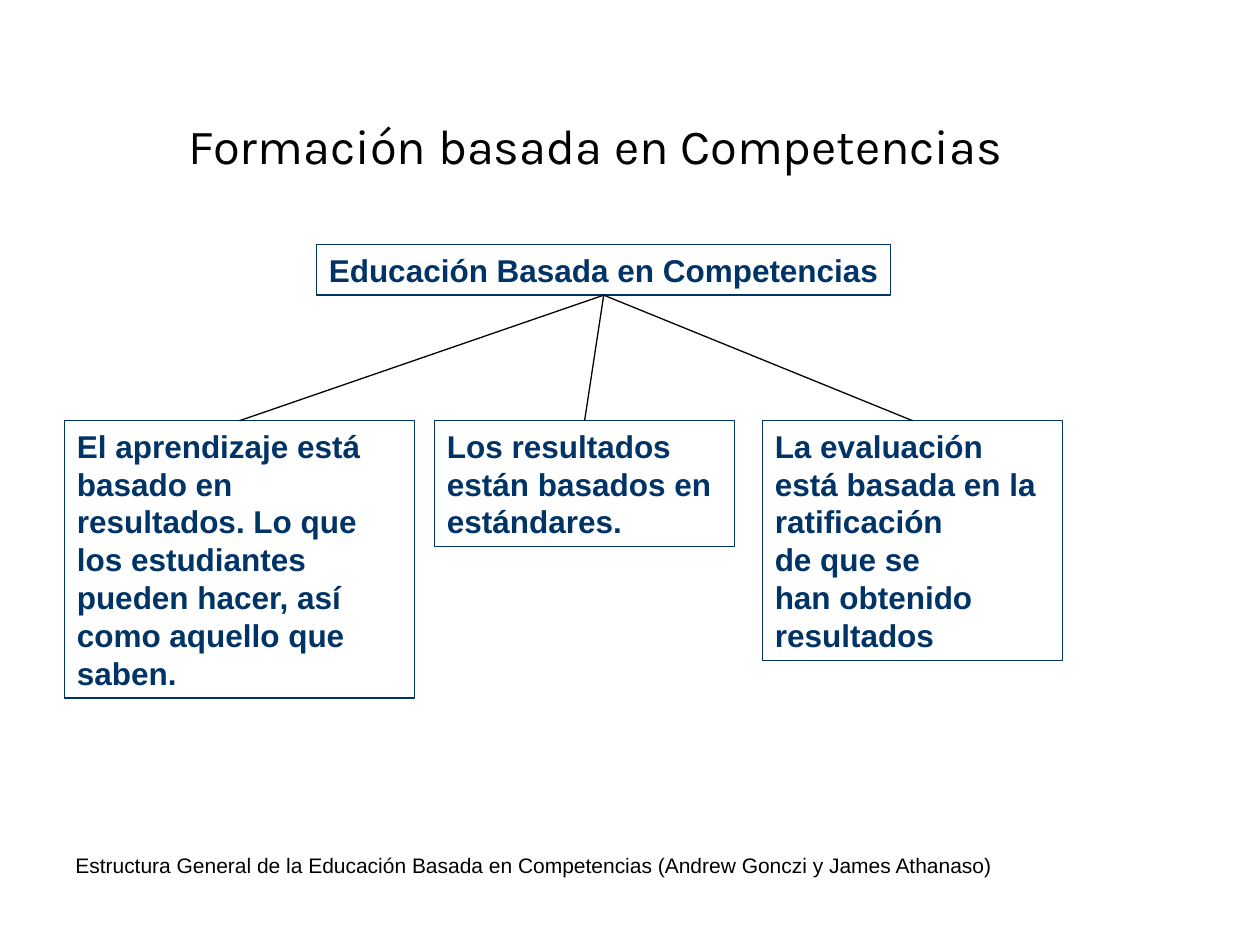
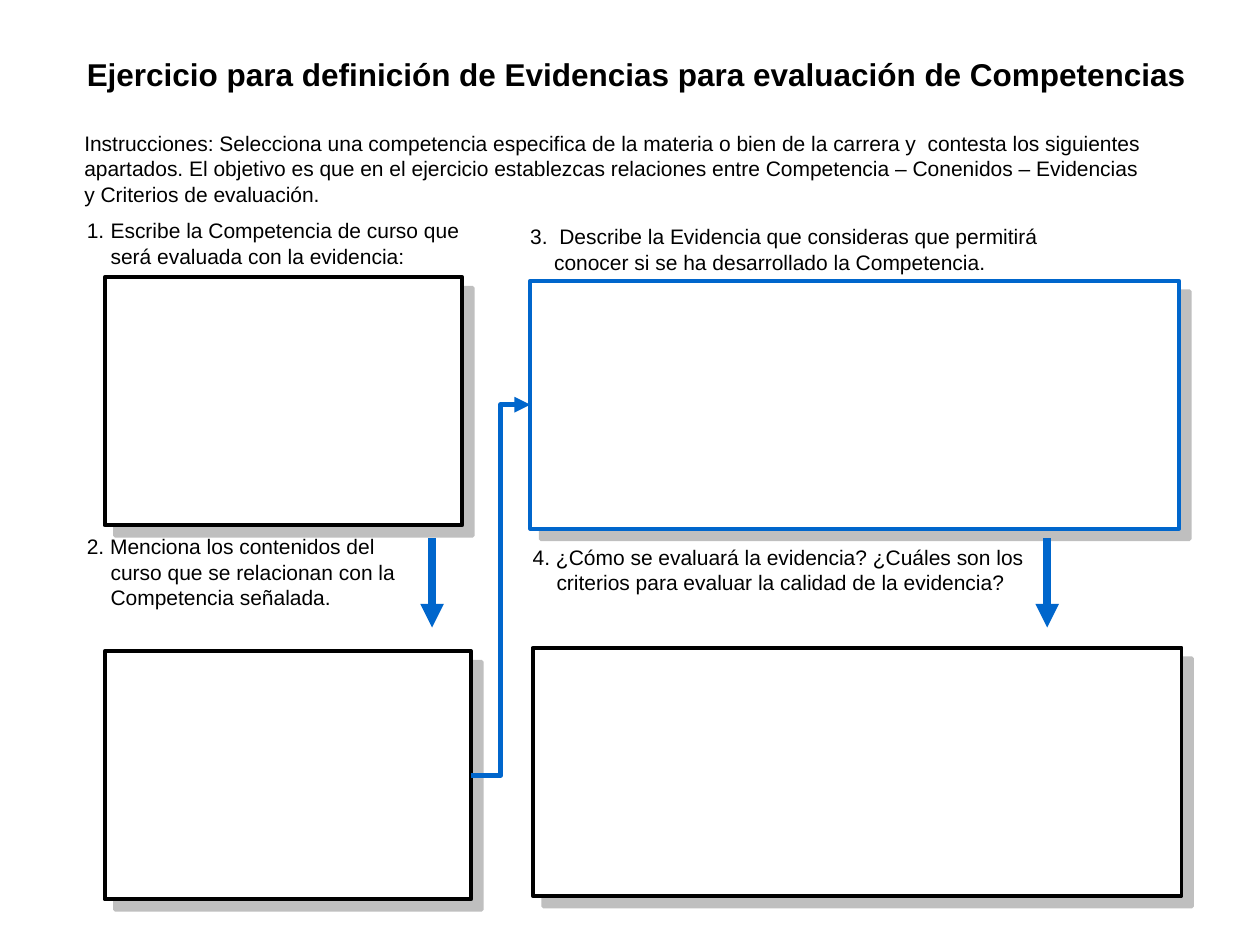
from lxml.etree import SubElement
from pptx import Presentation
from pptx.dml.color import RGBColor
from pptx.enum.shapes import MSO_CONNECTOR as Link, MSO_SHAPE as Preset
from pptx.enum.text import MSO_ANCHOR as Anchor, PP_ALIGN as Align
from pptx.oxml.ns import qn
from pptx.util import Cm, Pt

BLACK, WHITE, NAVY, BLUE, GREY = "000000", "FFFFFF", "003366", "0066CC", "808080"
HANG = Cm(0.48)
FRAME_HEIGHT = 5
BOTTOM, TOP, LEFT, RIGHT = 2, 0, 1, 3


def color(hex_code):
    """Turn a hex string into a colour."""
    return RGBColor.from_string(hex_code)


def write(shape, lines, size, ink=BLACK, bold=False, font="Arial", wrap=True, hang=False, numbered=False):
    """Fill a shape with left-aligned paragraphs in one style."""
    frame = shape.text_frame
    frame.word_wrap = wrap
    frame.text = "\n".join(lines)
    for paragraph in frame.paragraphs:
        paragraph.alignment = Align.LEFT
        if hang:
            properties = paragraph._p.get_or_add_pPr()
            properties.set("marL", str(HANG))
            properties.set("indent", str(-HANG))
            if numbered:
                SubElement(properties, qn("a:buFont"), typeface="Arial")
                SubElement(properties, qn("a:buAutoNum"), type="arabicPeriod")
        paragraph.font.name = font
        paragraph.font.size = Pt(size)
        paragraph.font.bold = bold
        paragraph.font.color.rgb = color(ink)
    return frame


def add_text(slide, left, top, width, height, line, size, **style):
    """Place a text box with one paragraph."""
    box = slide.shapes.add_textbox(Cm(left), Cm(top), Cm(width), Cm(height))
    return write(box, [line], size, **style)


def add_box(slide, left, top, width, height, ink, weight):
    """Place a white outlined rectangle."""
    box = slide.shapes.add_shape(Preset.RECTANGLE, Cm(left), Cm(top), Cm(width), Cm(height))
    box.shadow.inherit = False
    box.fill.solid()
    box.fill.fore_color.rgb = color(WHITE)
    box.line.color.rgb = color(ink)
    box.line.width = Pt(weight)
    return box


def add_line(slide, kind, ink, weight, start=(0, 0), end=(0, 0), ends=None, arrow=True):
    """Draw a connector between two points or two (shape, site) ends."""
    line = slide.shapes.add_connector(kind, *map(Cm, start + end))
    if ends:
        line.begin_connect(*ends[0])
        line.end_connect(*ends[1])
    line.line.color.rgb = color(ink)
    line.line.width = Pt(weight)
    properties = line._element.spPr
    if arrow:
        SubElement(properties.find(qn("a:ln")), qn("a:tailEnd"), type="triangle")
    SubElement(properties, qn("a:effectLst"))


def cast_shadow(shape):
    """Give a shape a hard half-transparent shadow to the lower right."""
    effects = shape._element.spPr.find(qn("a:effectLst"))
    shadow = SubElement(effects, qn("a:outerShdw"), dist=str(Pt(8.5)), dir="2700000", algn="ctr", rotWithShape="0")
    tint = SubElement(shadow, qn("a:srgbClr"), val=GREY)
    SubElement(tint, qn("a:alpha"), val="50000")


def add_tree(slide, left, top, root_text, branches):
    """Draw the root concept and its branches with joining lines."""
    def concept(x, y, width, height, lines, wrap=True):
        box = add_box(slide, left + x, top + y, width, height, NAVY, 0.75)
        write(box, lines, 18, NAVY, bold=True, wrap=wrap).vertical_anchor = Anchor.TOP
        return box

    root = concept(5.08, 0, 11.58, 1.02, [root_text], wrap=False)
    for x, width, height, lines in branches:
        branch = concept(x, 3.55, width, height, lines)
        add_line(slide, Link.STRAIGHT, BLACK, 0.75, ends=((root, BOTTOM), (branch, TOP)), arrow=False)


def add_step(slide, left, top, prompt, prompt_width, inset, drop, frame_width, ink=BLACK, numbered=False):
    """Place a prompt and the empty answer frame below it."""
    add_text(slide, left, top, prompt_width, 1.27, prompt, 12, hang=True, numbered=numbered)
    answer = add_box(slide, left + inset, top + drop, frame_width, FRAME_HEIGHT, ink, 2.25)
    cast_shadow(answer)
    return answer


def build_structure(slide):
    """Build the slide on the structure of competency-based education."""
    title = add_text(slide, 3.56, 1.9, 19.68, 2.03, "Formación basada en Competencias", 28, font="Karla")
    title.vertical_anchor = Anchor.MIDDLE
    add_tree(slide, 1.3, 4.93, "Educación Basada en Competencias", [
        (0, 7.06, 5.59, ["El aprendizaje está basado en resultados. Lo que los estudiantes "
                         "pueden hacer, así como aquello que saben."]),
        (7.46, 6.05, 2.54, ["Los resultados están basados en estándares."]),
        (14.07, 6.05, 4.83, ["La evaluación está basada en la ratificación", "de que se",
                             "han obtenido resultados"]),
    ])
    add_text(slide, 1.27, 17.07, 19.02, 0.76, "Estructura General de la Educación Basada en Competencias "
             "(Andrew Gonczi y James Athanaso)", 12, wrap=False)


def build_exercise(slide):
    """Build the four-step worksheet on evidence of competencies."""
    add_text(slide, 1.5, 0.99, 22.83, 1.02, "Ejercicio para definición de Evidencias para evaluación "
             "de Competencias", 18, bold=True, wrap=False)
    add_text(slide, 1.45, 2.51, 21.87, 1.78, "Instrucciones: Selecciona una competencia especifica de la materia "
             "o bien de la carrera y  contesta los siguientes apartados. El objetivo es que en el ejercicio "
             "establezcas relaciones entre Competencia – Conenidos – Evidencias y Criterios de evaluación.", 12)
    add_step(slide, 1.5, 4.27, "Escribe la Competencia de curso que será evaluada con la evidencia:",
             8.61, 0.61, 1.32, 7.21, numbered=True)
    contents = add_step(slide, 1.5, 10.64, "2. Menciona los contenidos del curso que se relacionan con la  "
                        "Competencia señalada.", 7.06, 0.61, 2.49, 7.39)
    evidence = add_step(slide, 10.44, 4.39, "3.  Describe la Evidencia que consideras que permitirá conocer "
                        "si se ha desarrollado la Competencia.", 11.25, 0.25, 1.27, 13.08, ink=BLUE)
    add_step(slide, 10.49, 10.85, "4. ¿Cómo se evaluará la evidencia? ¿Cuáles son los criterios para evaluar "
             "la calidad de la evidencia?", 11.25, 0.25, 2.21, 13.08)
    for x in (8.71, 21.11):
        add_line(slide, Link.STRAIGHT, BLUE, 4.5, (x, 10.85), (x, 12.65))
    add_line(slide, Link.ELBOW, BLUE, 3, ends=((contents, RIGHT), (evidence, LEFT)))


def main():
    """Build and save the presentation."""
    deck = Presentation()
    deck.slide_width, deck.slide_height = Cm(25.4), Cm(19.05)
    for build in (build_structure, build_exercise):
        build(deck.slides.add_slide(deck.slide_layouts[6]))
    deck.save("out.pptx")


if __name__ == "__main__":
    main()
